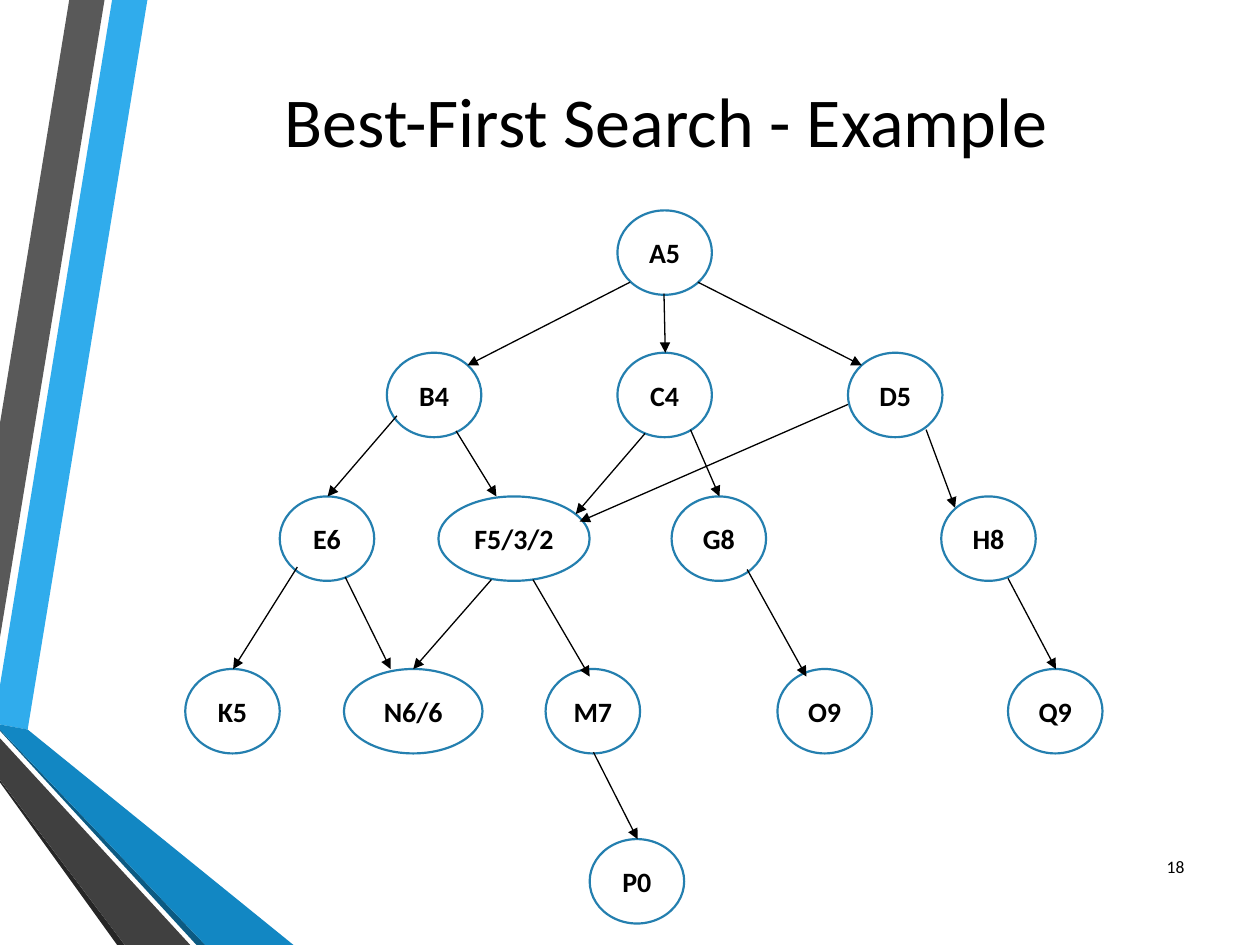
"""Build a slide that shows a best-first search tree beside a folded ribbon."""
import pptx
import pptx.dml.color
import pptx.enum.shapes
import pptx.enum.text
import pptx.oxml.ns
import pptx.util
from lxml import etree


def paint(fill, colour):
    """Make a fill solid in a hex colour."""
    fill.solid()
    fill.fore_color.rgb = pptx.dml.color.RGBColor.from_string(colour)


def write(shape, text, align, font_values):
    """Put one centred-in-height line of Calibri text in a shape."""
    frame = shape.text_frame
    frame.text = text
    for name, value in FRAME_VALUES.items():
        setattr(frame, name, value)
    paragraph = frame.paragraphs[0]
    paragraph.alignment = align
    font = paragraph.runs[0].font
    for name, value in {"name": "Calibri", **font_values}.items():
        setattr(font, name, value)
    paint(font.fill, "000000")


FRAME_VALUES = {
    "word_wrap": False,
    "auto_size": pptx.enum.text.MSO_AUTO_SIZE.NONE,
    "vertical_anchor": pptx.enum.text.MSO_ANCHOR.MIDDLE,
    "margin_left": 0,
    "margin_right": 0,
    "margin_top": 0,
    "margin_bottom": 0,
}
ALIGN = pptx.enum.text.PP_ALIGN

presentation = pptx.Presentation()
presentation.slide_width = pptx.util.Inches(10)
presentation.slide_height = pptx.util.Inches(7.5)
cell = presentation.slide_width / 10
slide = presentation.slides.add_slide(presentation.slide_layouts[5])
shapes = slide.shapes

ribbon = [
    ("30ACEC", [(0, 5.44), (0, 5.75), (0.22, 5.79), (1.17, 0), (0.89, 0)]),
    ("595959", [(0.83, 0), (0.55, 0), (0, 3.36), (0, 5.06)]),
    ("262626", [(0, 6.19), (0, 6.21), (0.93, 7.5), (0.99, 7.5)]),
    ("0C5A82", [(0, 5.79), (0, 5.8), (1.56, 7.5), (1.63, 7.5)]),
    ("1287C3", [(0, 5.79), (1.63, 7.5), (2.33, 7.5), (0.22, 5.79), (0, 5.75)]),
    ("404040", [(0, 6.19), (0.99, 7.5), (1.51, 7.5), (0, 5.86)]),
]
for colour, corners in ribbon:
    points = [(x * cell, y * cell) for x, y in corners]
    builder = shapes.build_freeform(*points[0])
    builder.add_line_segments(points[1:], close=True)
    band = builder.convert_to_shape()
    band.shadow.inherit = False
    paint(band.fill, colour)
    band.line.fill.background()

title = shapes.title
title_box = {"left": 1.07, "top": -0.14, "width": 8.43, "height": 2.17}
for name, value in title_box.items():
    setattr(title, name, int(value * cell))
write(title, "Best-First Search - Example", ALIGN.CENTER, {"size": pptx.util.Pt(40)})

number = shapes.add_textbox(*[int(value * cell) for value in (9.03, 6.68, 0.37, 0.4)])
write(number, "18", ALIGN.RIGHT, {"size": pptx.util.Pt(10)})

node_width, node_height = 0.75, 0.67
wide_nodes = {"F5/3/2": 1.2, "N6/6": 1.1}
levels = [
    (1.67, {"A5": 4.9}),
    (2.8, {"B4": 3.07, "C4": 4.9, "D5": 6.73}),
    (3.94, {"E6": 2.22, "F5/3/2": 3.48, "G8": 5.33, "H8": 7.47}),
    (5.31, {"K5": 1.47, "N6/6": 2.73, "M7": 4.33, "O9": 6.17, "Q9": 8}),
    (6.66, {"P0": 4.68}),
]
for top, nodes in levels:
    for label, left in nodes.items():
        box = (left, top, wide_nodes.get(label, node_width), node_height)
        node = shapes.add_shape(
            pptx.enum.shapes.MSO_SHAPE.OVAL, *[int(value * cell) for value in box]
        )
        node.shadow.inherit = False
        paint(node.fill, "FFFFFF")
        paint(node.line.fill, "247FAF")
        node.line.width = pptx.util.Pt(1.25)
        write(node, label, ALIGN.CENTER, {"size": pptx.util.Pt(16), "bold": True})

arrows = [
    (5.27, 2.33, 5.28, 2.8),
    (5, 2.24, 3.71, 2.9),
    (5.54, 2.24, 6.84, 2.9),
    (3.15, 3.3, 2.6, 3.94),
    (3.62, 3.42, 3.94, 3.94),
    (5.48, 3.41, 5.71, 3.94),
    (5.12, 3.44, 4.57, 4.08),
    (6.73, 3.21, 4.6, 4.14),
    (7.35, 3.41, 7.58, 4.03),
    (2.36, 4.5, 1.85, 5.31),
    (2.74, 4.58, 3.1, 5.31),
    (3.9, 4.6, 3.28, 5.31),
    (4.23, 4.6, 4.68, 5.37),
    (5.93, 4.52, 6.4, 5.37),
    (8, 4.59, 8.38, 5.31),
    (4.71, 5.97, 5.06, 6.66),
]
for ends in arrows:
    arrow = shapes.add_connector(
        pptx.enum.shapes.MSO_CONNECTOR.STRAIGHT, *[int(value * cell) for value in ends]
    )
    paint(arrow.line.fill, "000000")
    arrow.line.width = pptx.util.Pt(0.75)
    properties = arrow.element.spPr
    outline = properties.find(pptx.oxml.ns.qn("a:ln"))
    etree.SubElement(outline, pptx.oxml.ns.qn("a:tailEnd"), type="triangle")
    etree.SubElement(properties, pptx.oxml.ns.qn("a:effectLst"))

presentation.save("out.pptx")
